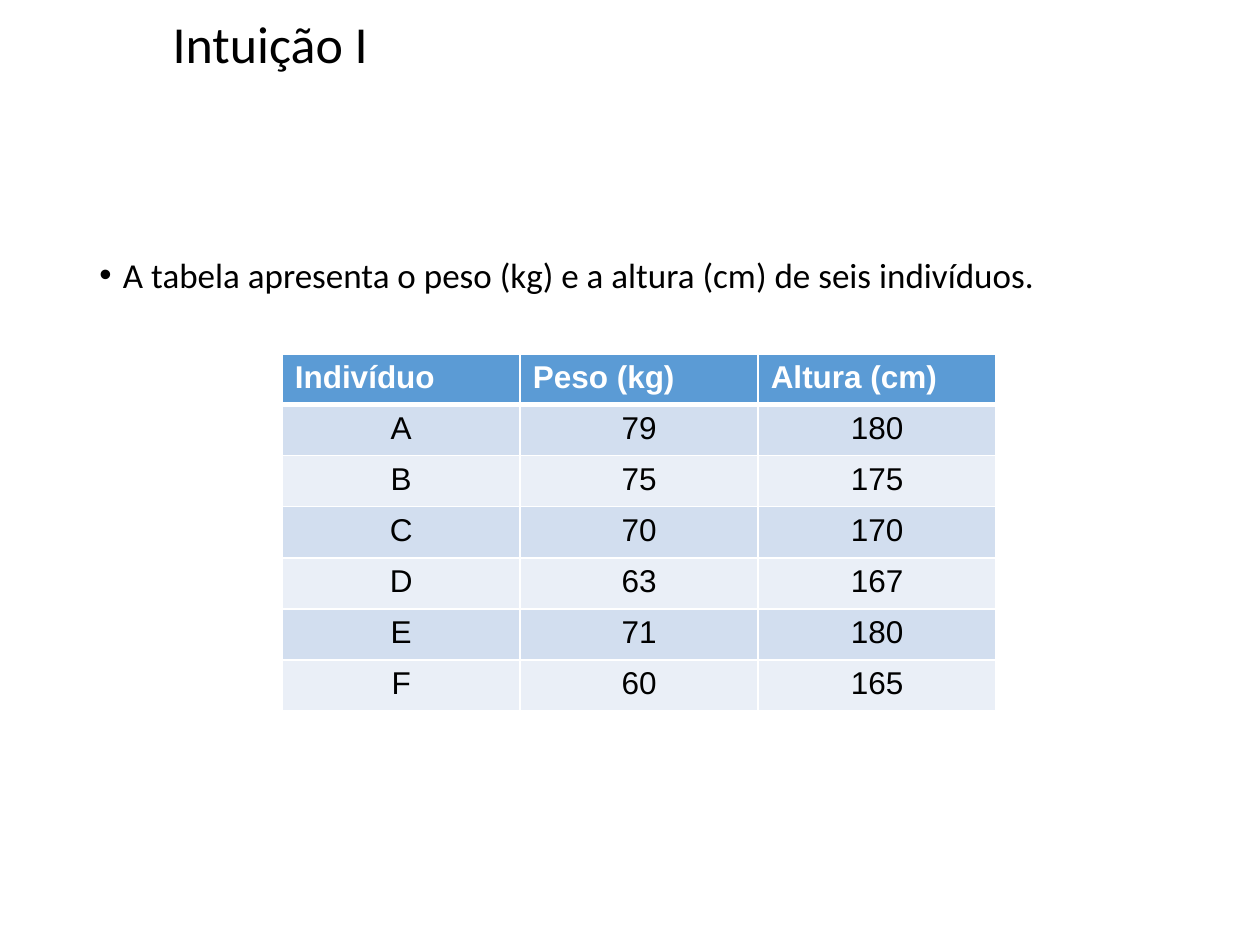
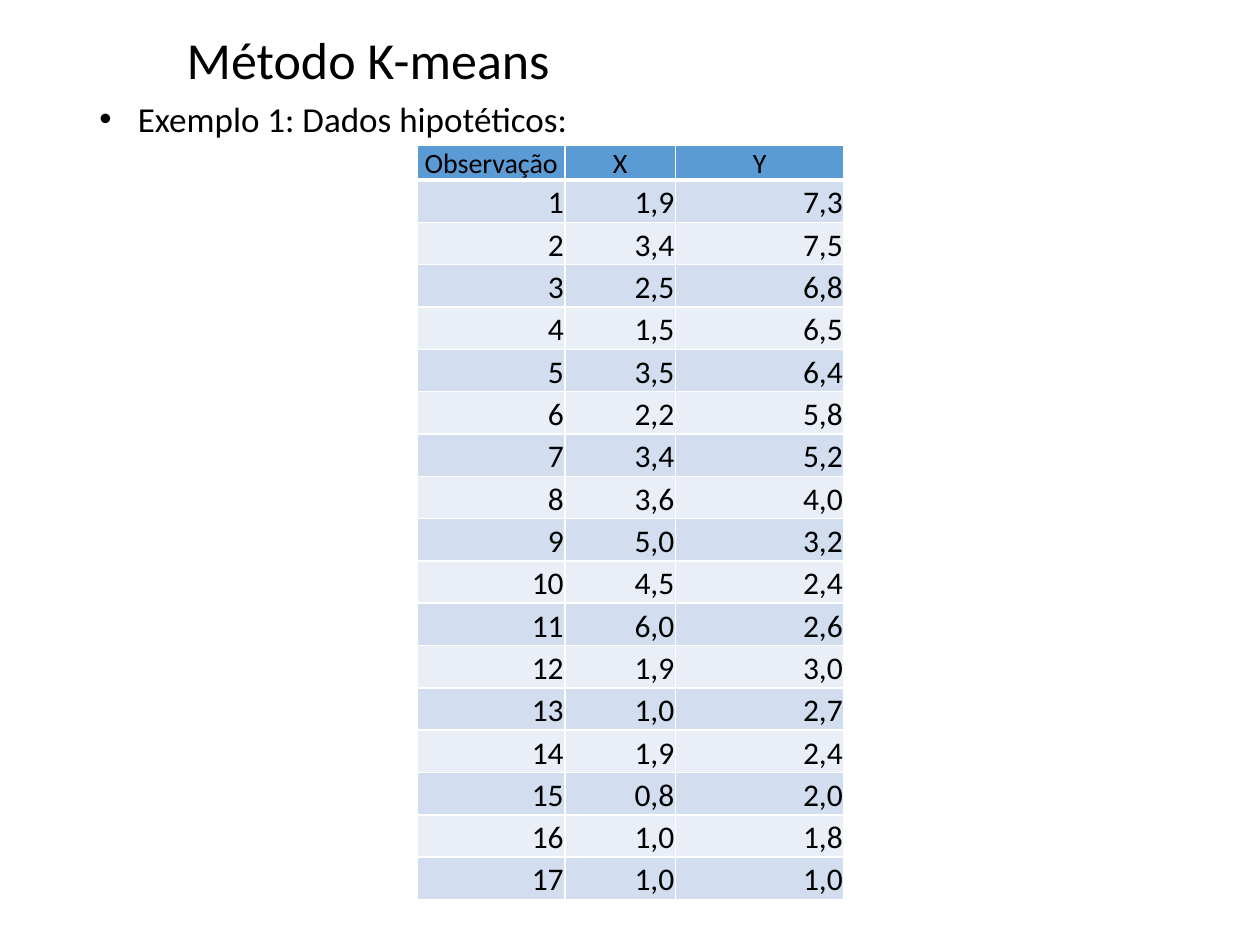
from pptx import Presentation
from pptx import util as u
from pptx.dml.color import RGBColor
from pptx.enum import text
from pptx.oxml.ns import qn
from lxml import etree

Pt = u.Pt
ALIGN = text.PP_ALIGN
ANCHOR = text.MSO_ANCHOR
COLORS = {
    "text": "000000",
    "white": "FFFFFF",
    "header": "5B9BD5",
    "odd": "D2DEEF",
    "even": "EAEFF7",
}


class Deck:
    def __init__(self):
        self.prs = Presentation()
        self.prs.slide_width, self.prs.slide_height = Pt(720), Pt(540)
        self.s = None

    def color(self, name):
        return RGBColor.from_string(COLORS[name])

    def run(self, p, content, size, font="Calibri", color="text", bold=False):
        r = p.add_run()
        r.text = content
        r.font.size, r.font.name, r.font.bold = Pt(size), font, bold
        r.font.color.rgb = self.color(color)

    def slide(self, title, left, top, height):
        self.s = self.prs.slides.add_slide(self.prs.slide_layouts[5])
        sp = self.s.shapes.title
        sp.left, sp.top, sp.width, sp.height = Pt(left), Pt(top), Pt(620.6), Pt(height)
        tf = sp.text_frame
        tf.auto_size = text.MSO_AUTO_SIZE.NONE
        tf.vertical_anchor = ANCHOR.MIDDLE
        p = tf.paragraphs[0]
        p.alignment, p.line_spacing = ALIGN.LEFT, 0.9
        self.run(p, title, 29.7)

    def bullet(self, content, top, height, indent, align):
        sp = self.s.shapes.add_textbox(Pt(49.7), Pt(top), Pt(620.6), Pt(height))
        tf = sp.text_frame
        tf.word_wrap = True
        p = tf.paragraphs[0]
        p.alignment, p.line_spacing, p.space_before = align, 0.9, Pt(7.5)
        pPr = p._p.get_or_add_pPr()
        pPr.set("marL", str(Pt(indent)))
        pPr.set("indent", str(-Pt(indent)))
        etree.SubElement(pPr, qn("a:buFont"), typeface="Arial")
        etree.SubElement(pPr, qn("a:buChar"), char="•")
        self.run(p, content, 20)

    def borders(self, cell, top, bottom):
        tcPr = cell._tc.get_or_add_tcPr()
        for side, width in (("L", 1), ("R", 1), ("T", top), ("B", bottom)):
            ln = etree.SubElement(tcPr, qn(f"a:ln{side}"), w=str(Pt(width)))
            fill = etree.SubElement(ln, qn("a:solidFill"))
            etree.SubElement(fill, qn("a:srgbClr"), val=COLORS["white"])

    def table(self, rows, left, top, widths, header_height, row_height,
              header_style, body_style, header_align, body_align,
              anchor=ANCHOR.TOP, margins=None):
        heights = [header_height] + [row_height] * (len(rows) - 1)
        table = self.s.shapes.add_table(
            len(rows), len(widths), Pt(left), Pt(top),
            Pt(sum(widths)), Pt(sum(heights))).table
        for column, width in zip(table.columns, widths):
            column.width = Pt(width)
        for i, values in enumerate(rows):
            table.rows[i].height = Pt(heights[i])
            band = "header" if i == 0 else "odd" if i % 2 else "even"
            for j, value in enumerate(values):
                cell = table.cell(i, j)
                self.borders(cell, 3 if i == 1 else 1, 3 if i == 0 else 1)
                cell.fill.solid()
                cell.fill.fore_color.rgb = self.color(band)
                cell.vertical_anchor = anchor
                if margins:
                    (cell.margin_left, cell.margin_top,
                     cell.margin_right, cell.margin_bottom) = map(Pt, margins)
                p = cell.text_frame.paragraphs[0]
                p.alignment = body_align if i else header_align
                self.run(p, value, **(body_style if i else header_style))


def main():
    deck = Deck()

    deck.slide("Intuição I", 91.4, 9.4, 34.6)
    deck.bullet("A tabela apresenta o peso (kg) e a altura (cm) de seis indivíduos.",
                144, 342.7, 13.5, ALIGN.LEFT)
    people = [
        ("Indivíduo", "Peso (kg)", "Altura (cm)"),
        ("A", "79", "180"),
        ("B", "75", "175"),
        ("C", "70", "170"),
        ("D", "63", "167"),
        ("E", "71", "180"),
        ("F", "60", "165"),
    ]
    deck.table(people, 161.3, 202.3, [136] * 3, 22.3, 29.2,
               dict(size=18, font="Arial", color="white", bold=True),
               dict(size=18, font="Arial"), ALIGN.LEFT, ALIGN.CENTER)

    deck.slide("Método K-means", 99.4, 20.2, 31.7)
    deck.bullet("Exemplo 1: Dados hipotéticos:", 54.7, 432, 22, ALIGN.JUSTIFY)
    xs = "1,9 3,4 2,5 1,5 3,5 2,2 3,4 3,6 5,0 4,5 6,0 1,9 1,0 1,9 0,8 1,0 1,0".split()
    ys = "7,3 7,5 6,8 6,5 6,4 5,8 5,2 4,0 3,2 2,4 2,6 3,0 2,7 2,4 2,0 1,8 1,0".split()
    observations = [("Observação", "X", "Y")]
    observations += [(str(n), x, y) for n, (x, y) in enumerate(zip(xs, ys), 1)]
    deck.table(observations, 238.6, 83, [84.2, 63.2, 96.3], 19.4, 24.2,
               dict(size=16), dict(size=18), ALIGN.CENTER, ALIGN.RIGHT,
               ANCHOR.BOTTOM, (0.7, 0.7, 0.7, 0))

    deck.prs.save("out.pptx")


if __name__ == "__main__":
    main()
